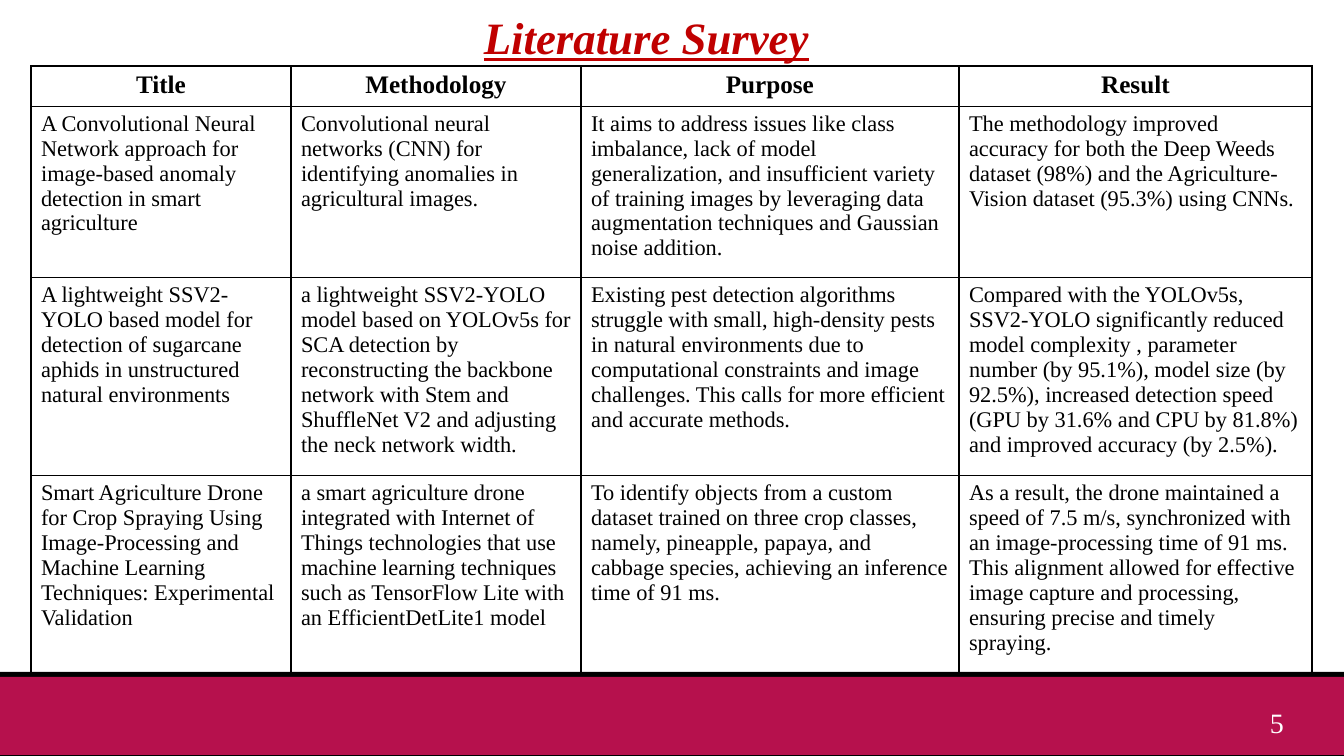
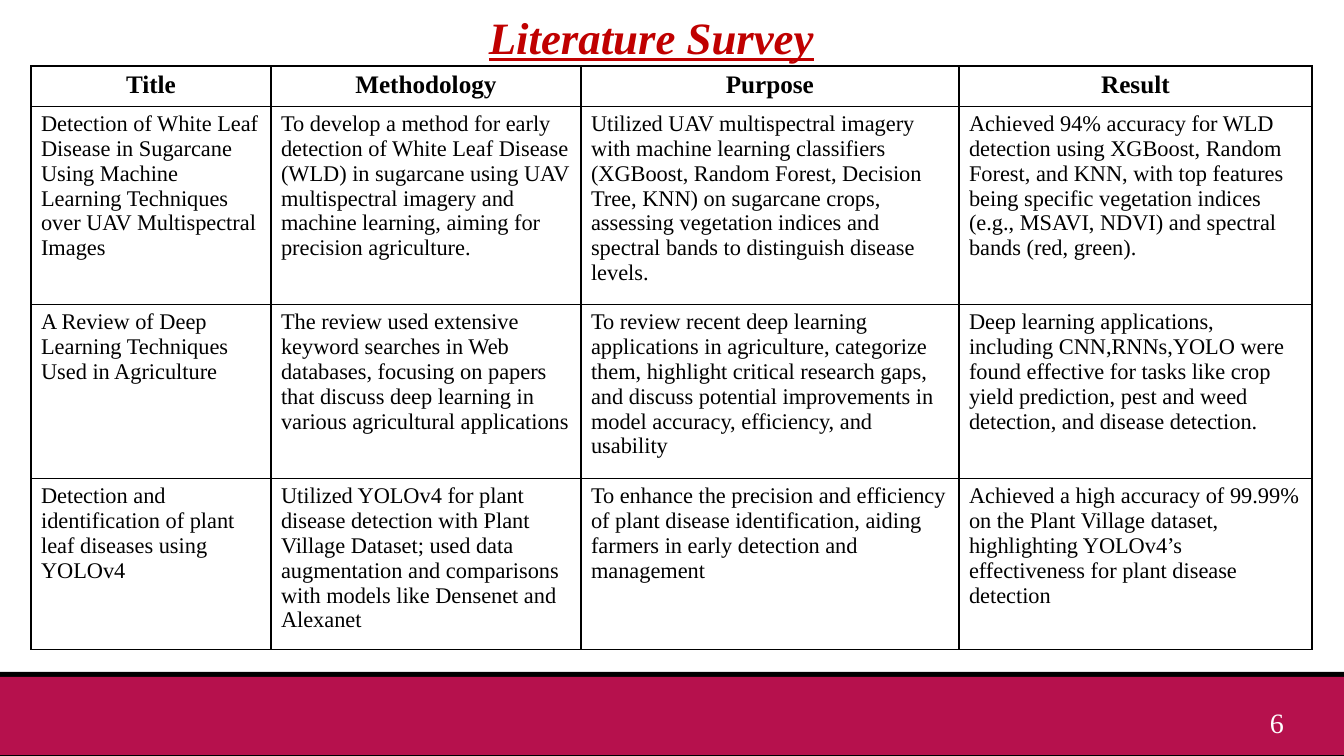
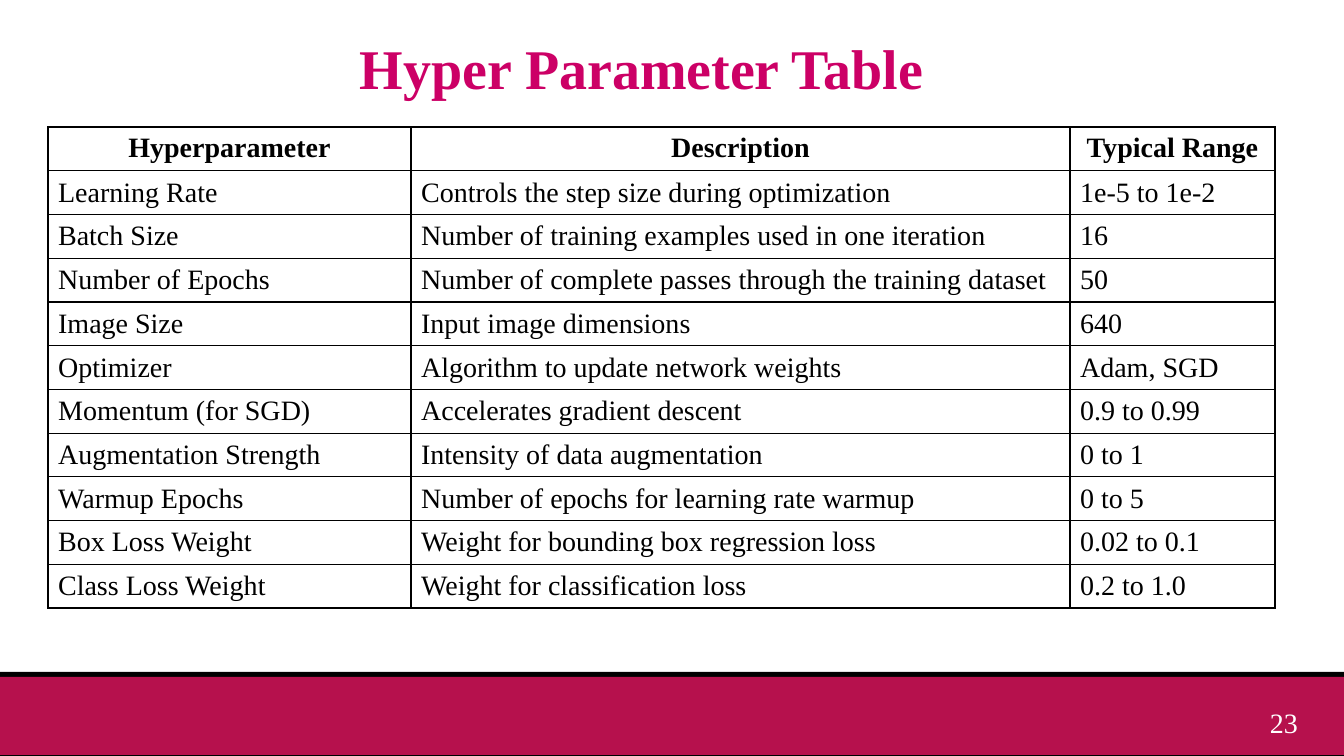
"""Build two literature survey slides and a hyperparameter table slide."""
from lxml.etree import SubElement
from pptx import Presentation
from pptx.dml.color import RGBColor
from pptx.enum.shapes import MSO_SHAPE
from pptx.enum.text import MSO_ANCHOR, PP_ALIGN
from pptx.oxml import parse_xml
from pptx.oxml.ns import nsdecls, qn
from pptx.util import Emu, Pt

PX = 914400 / 100.8
FONT = "Times New Roman"
BLACK = RGBColor(0x00, 0x00, 0x00)
WHITE = RGBColor(0xFF, 0xFF, 0xFF)
CRIMSON = RGBColor(0xB6, 0x11, 0x4D)
RED = RGBColor(0xC0, 0x00, 0x00)
PINK = RGBColor(0xCC, 0x00, 0x66)

SURVEY_HEAD = ("Title", "Methodology", "Purpose", "Result")
SURVEY = {"color": RED, "title_size": 32, "fancy": True, "head_size": 18,
          "body_size": 16, "anchor": MSO_ANCHOR.TOP, "origin": (31, 66)}

SLIDES = [
    {**SURVEY, "number": "5", "title": "Literature Survey", "title_box": (474, 15, 358, 50),
     "cols": (260, 290, 378, 353), "heights": (39, 168, 195, 194),
     "rows": [
         SURVEY_HEAD,
         ("A Convolutional Neural Network approach for image-based anomaly detection in smart agriculture",
          "Convolutional neural networks (CNN) for identifying anomalies in agricultural images.",
          "It aims to address issues like class imbalance, lack of model generalization, and insufficient "
          "variety of training images by leveraging data augmentation techniques and Gaussian noise addition.",
          "The methodology improved accuracy for both the Deep Weeds dataset (98%) and the "
          "Agriculture-Vision dataset (95.3%) using CNNs."),
         ("A lightweight SSV2-YOLO based model for detection of sugarcane aphids in unstructured "
          "natural environments",
          "a lightweight SSV2-YOLO model based on YOLOv5s for SCA detection by reconstructing the "
          "backbone network with Stem and ShuffleNet V2 and adjusting the neck network width.",
          "Existing pest detection algorithms struggle with small, high-density pests in natural "
          "environments due to computational constraints and image challenges. This calls for more "
          "efficient and accurate methods.",
          "Compared with the YOLOv5s, SSV2-YOLO significantly reduced model complexity , parameter "
          "number (by 95.1%), model size (by 92.5%), increased detection speed (GPU by 31.6% and CPU "
          "by 81.8%) and improved accuracy (by 2.5%)."),
         ("Smart Agriculture Drone for Crop Spraying Using Image-Processing and Machine Learning "
          "Techniques: Experimental Validation",
          "a smart agriculture drone integrated with Internet of Things technologies that use machine "
          "learning techniques such as TensorFlow Lite with an EfficientDetLite1 model",
          "To identify objects from a custom dataset trained on three crop classes, namely, pineapple, "
          "papaya, and cabbage species, achieving an inference time of 91 ms.",
          "As a result, the drone maintained a speed of 7.5 m/s, synchronized with an image-processing "
          "time of 91 ms. This alignment allowed for effective image capture and processing, ensuring "
          "precise and timely spraying."),
     ]},
    {**SURVEY, "number": "6", "title": "Literature Survey", "title_box": (479, 15, 358, 50),
     "cols": (240, 310, 378, 353), "heights": (39, 184, 174, 169),
     "rows": [
         SURVEY_HEAD,
         ("Detection of White Leaf Disease in Sugarcane Using Machine Learning Techniques over UAV "
          "Multispectral Images",
          "To develop a method for early detection of White Leaf Disease (WLD) in sugarcane using UAV "
          "multispectral imagery and machine learning, aiming for precision agriculture.",
          "Utilized UAV multispectral imagery with machine learning classifiers (XGBoost, Random Forest, "
          "Decision Tree, KNN) on sugarcane crops, assessing vegetation indices and spectral bands to "
          "distinguish disease levels.",
          "Achieved 94% accuracy for WLD detection using XGBoost, Random Forest, and KNN, with top "
          "features being specific vegetation indices (e.g., MSAVI, NDVI) and spectral bands (red, green)."),
         ("A Review of Deep Learning Techniques Used in Agriculture",
          "The review used extensive keyword searches in Web databases, focusing on papers that discuss "
          "deep learning in various agricultural applications",
          "To review recent deep learning applications in agriculture, categorize them, highlight "
          "critical research gaps, and discuss potential improvements in model accuracy, efficiency, "
          "and usability",
          "Deep learning applications, including CNN,RNNs,YOLO were found effective for tasks like crop "
          "yield prediction, pest and weed detection, and disease detection."),
         ("Detection and identification of plant leaf diseases using YOLOv4",
          "Utilized YOLOv4 for plant disease detection with Plant Village Dataset; used data "
          "augmentation and comparisons with models like Densenet and Alexanet",
          "To enhance the precision and efficiency of plant disease identification, aiding farmers in "
          "early detection and management",
          "Achieved a high accuracy of 99.99% on the Plant Village dataset, highlighting YOLOv4’s "
          "effectiveness for plant disease detection"),
     ]},
    {"number": "23", "title": "Hyper Parameter Table", "title_box": (350, 34, 608, 74),
     "color": PINK, "title_size": 40, "fancy": False, "head_size": 20, "body_size": 20,
     "anchor": MSO_ANCHOR.MIDDLE, "origin": (48, 127),
     "cols": (363, 659, 205), "heights": (41,) * 11,
     "rows": [
         ("Hyperparameter", "Description", "Typical Range"),
         ("Learning Rate", "Controls the step size during optimization", "1e-5 to 1e-2"),
         ("Batch Size", "Number of training examples used in one iteration", "16"),
         ("Number of Epochs", "Number of complete passes through the training dataset", "50"),
         ("Image Size", "Input image dimensions", "640"),
         ("Optimizer", "Algorithm to update network weights", "Adam, SGD"),
         ("Momentum (for SGD)", "Accelerates gradient descent", "0.9 to 0.99"),
         ("Augmentation Strength", "Intensity of data augmentation", "0 to 1"),
         ("Warmup Epochs", "Number of epochs for learning rate warmup", "0 to 5"),
         ("Box Loss Weight", "Weight for bounding box regression loss", "0.02 to 0.1"),
         ("Class Loss Weight", "Weight for classification loss", "0.2 to 1.0"),
     ]},
]


def px(*lengths):
    """Turn pixel lengths into EMU."""
    return [Emu(round(n * PX)) for n in lengths]


def add_run(p, text, size, color, bold=False, fancy=False):
    """Add one styled run; fancy means italic and underlined."""
    r = p.add_run()
    r.text = text
    r.font.name = FONT
    r.font.size = Pt(size)
    r.font.color.rgb = color
    r.font.bold = bold
    r.font.italic = r.font.underline = fancy


prs = Presentation()
prs.slide_width, prs.slide_height = px(1344, 756)

for page in SLIDES:
    s = prs.slides.add_slide(prs.slide_layouts[6])

    for top, height, color in ((672, 84, BLACK), (677, 78, CRIMSON)):
        band = s.shapes.add_shape(MSO_SHAPE.RECTANGLE, *px(0, top, 1344, height))
        band.shadow.inherit = False
        band.fill.solid()
        band.fill.fore_color.rgb = color
        band.line.fill.background()

    tf = s.shapes.add_textbox(*px(1260, 701, 68, 40)).text_frame
    tf.word_wrap = True
    add_run(tf.paragraphs[0], page["number"], 20, WHITE)

    tf = s.shapes.add_textbox(*px(*page["title_box"])).text_frame
    tf.word_wrap = True
    tf.vertical_anchor = MSO_ANCHOR.MIDDLE
    p = tf.paragraphs[0]
    p.line_spacing = 0.9
    add_run(p, page["title"], page["title_size"], page["color"], True, page["fancy"])

    cols, heights, rows = page["cols"], page["heights"], page["rows"]
    frame = s.shapes.add_table(len(rows), len(cols), *px(*page["origin"], sum(cols), sum(heights)))
    table = frame.table
    table.first_row = table.horz_banding = False
    for col, width in zip(table.columns, px(*cols)):
        col.width = width
    for row, height in zip(table.rows, px(*heights)):
        row.height = height

    for i, texts in enumerate(rows):
        head = i == 0
        for j, text in enumerate(texts):
            cell = table.cell(i, j)
            cell.fill.background()
            cell.vertical_anchor = MSO_ANCHOR.TOP if head else page["anchor"]
            p = cell.text_frame.paragraphs[0]
            p.alignment = PP_ALIGN.CENTER if head else PP_ALIGN.LEFT
            add_run(p, text, page["head_size" if head else "body_size"], BLACK, head)
            tc_pr = cell._tc.get_or_add_tcPr()
            for k, side in enumerate(("lnL", "lnR", "lnT", "lnB")):
                ln = parse_xml(f'<a:{side} {nsdecls("a")} w="{Pt(1)}"/>')
                fill = SubElement(ln, qn("a:solidFill"))
                SubElement(fill, qn("a:srgbClr"), val=str(BLACK))
                tc_pr.insert(k, ln)

prs.save("out.pptx")
